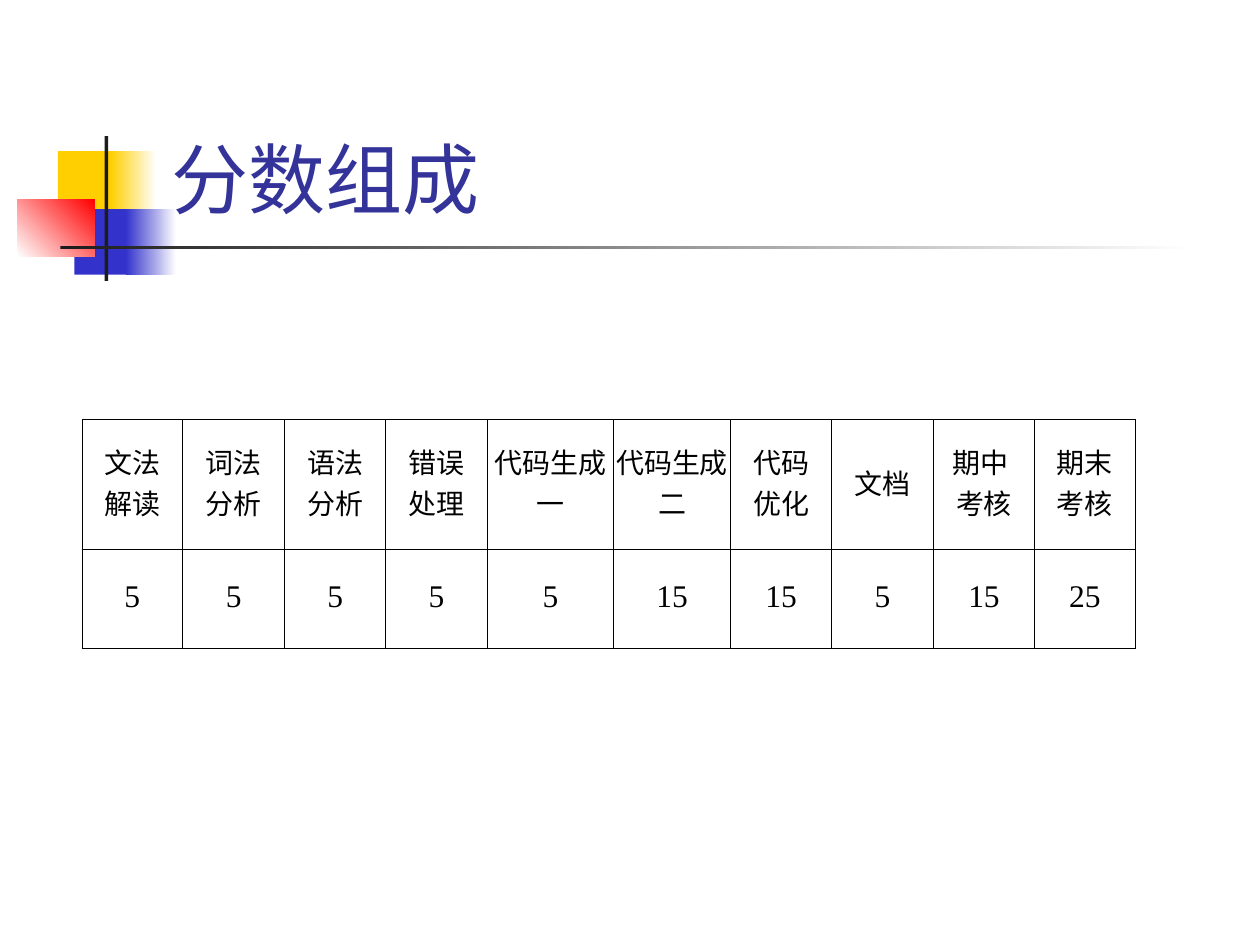
from lxml import etree
from pptx import Presentation
from pptx.dml.color import RGBColor
from pptx.enum.shapes import MSO_SHAPE
from pptx.enum.text import MSO_ANCHOR, MSO_AUTO_SIZE, PP_ALIGN
from pptx.oxml.ns import qn
from pptx.util import Inches, Pt

RECT = MSO_SHAPE.RECTANGLE
LEFT, CENTER = PP_ALIGN.LEFT, PP_ALIGN.CENTER
MIDDLE, BOTTOM = MSO_ANCHOR.MIDDLE, MSO_ANCHOR.BOTTOM
NO_FIT = MSO_AUTO_SIZE.NONE

WHITE, BLACK, DARK = "FFFFFF", "000000", "1C1C1C"
GOLD, BLUE, RED, NAVY = "FFCF01", "3333CC", "FF0000", "333399"

BLOCKS = [
    ((0.46, 1.2, 0.48, 0.52), (GOLD,), 0),
    ((0.88, 1.2, 0.36, 0.52), (GOLD, WHITE), 0),
    ((0.59, 1.66, 0.46, 0.52), (BLUE,), 0),
    ((1, 1.66, 0.4, 0.52), (BLUE, WHITE), 0),
    ((0.14, 1.58, 0.61, 0.46), (WHITE, RED), 45),
    ((0.83, 1.08, 0.03, 1.15), (DARK,), 0),
    ((0.48, 1.95, 9, 0.03), (DARK, WHITE), 0),
]
SCORES = [
    ("文法\n解读", 5, 0.8), ("词法\n分析", 5, 0.81), ("语法\n分析", 5, 0.8),
    ("错误\n处理", 5, 0.81), ("代码生成一", 5, 1), ("代码生成二", 15, 0.93),
    ("代码\n优化", 15, 0.8), ("文档", 5, 0.81), ("期中 \n考核", 15, 0.8),
    ("期末\n考核", 25, 0.8),
]


def rgb(code):
    return RGBColor.from_string(code)


def write(frame, text, size=16, font="Arial", color=BLACK, align=CENTER):
    frame.text = text
    for para in frame.paragraphs:
        para.alignment = align
        for run in para.runs:
            run.font.size = Pt(size)
            run.font.name = font
            run.font.color.rgb = rgb(color)


class Deck:
    """Holds the presentation, its style and the current slide."""

    def __init__(self):
        self.file = Presentation()
        self.file.slide_width = Inches(10)
        self.file.slide_height = Inches(7.5)
        self.slide = self.file.slides.add_slide(self.file.slide_layouts[5])
        self.shapes = self.slide.shapes

    def block(self, box, colors, angle):
        shape = self.shapes.add_shape(RECT, *map(Inches, box))
        shape.shadow.inherit = False
        shape.line.fill.background()
        if len(colors) == 1:
            shape.fill.solid()
            shape.fill.fore_color.rgb = rgb(colors[0])
            return
        shape.fill.gradient()
        shape.fill.gradient_angle = angle
        for stop, color in zip(shape.fill.gradient_stops, colors):
            stop.color.rgb = rgb(color)

    def title(self, text, box):
        head = self.shapes.title
        head.left, head.top, head.width, head.height = map(Inches, box)
        frame = head.text_frame
        frame.auto_size = NO_FIT
        frame.vertical_anchor = BOTTOM
        write(frame, text, size=44, font="Karla", color=NAVY, align=LEFT)
        self.shapes._spTree.append(head._element)

    def border(self, cell):
        props = cell._tc.get_or_add_tcPr()
        for spot, side in enumerate(("lnL", "lnR", "lnT", "lnB")):
            line = etree.Element(qn(f"a:{side}"), w=str(Pt(0.5)))
            fill = etree.SubElement(line, qn("a:solidFill"))
            etree.SubElement(fill, qn("a:srgbClr"), val=BLACK)
            props.insert(spot, line)

    def cell(self, cell, text, **style):
        cell.margin_left = cell.margin_right = cell.margin_top = Inches(0.01)
        cell.margin_bottom = Inches(0.05)
        cell.vertical_anchor = MIDDLE
        cell.fill.solid()
        cell.fill.fore_color.rgb = rgb(WHITE)
        self.border(cell)
        write(cell.text_frame, text, **style)

    def table(self, data, box, rows):
        grid = self.shapes.add_table(2, len(data), *map(Inches, box)).table
        grid.first_row = grid.horz_banding = False
        for row, height in zip(grid.rows, rows):
            row.height = Inches(height)
        for col, (name, score, width) in enumerate(data):
            grid.columns[col].width = Inches(width)
            self.cell(grid.cell(0, col), name)
            self.cell(grid.cell(1, col), str(score), size=18, font="Times New Roman")


def main():
    deck = Deck()
    for block in BLOCKS:
        deck.block(*block)
    deck.title("分数组成", (1.26, 0.23, 8.52, 1.6))
    deck.table(SCORES, (0.65, 3.33, 8.37, 1.82), (1.03, 0.79))
    deck.file.save("out.pptx")


if __name__ == "__main__":
    main()
